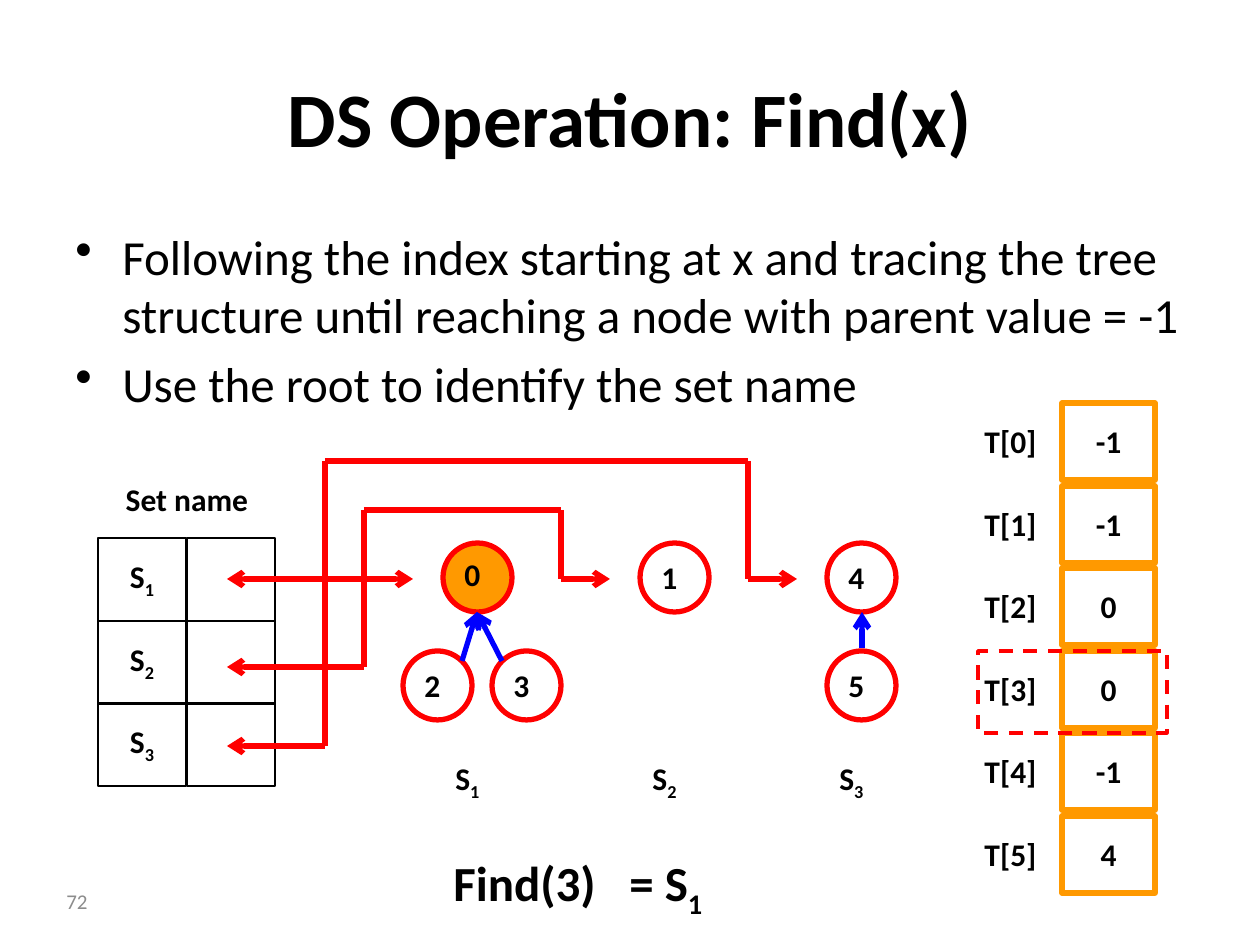
"""Build the slide on the disjoint-set Find operation."""
from dataclasses import dataclass
from itertools import pairwise

import lxml.etree
import pptx
import pptx.dml.color
import pptx.enum.dml
import pptx.enum.shapes
import pptx.enum.text
import pptx.oxml.ns
import pptx.util

EMU_PER_PX = 914400 / 126
COLORS = {"text": "000000", "page": "8C8C8C", "orange": "FF9900", "red": "FF0000", "blue": "0000FF"}
Align = pptx.enum.text.PP_ALIGN
Anchor = pptx.enum.text.MSO_ANCHOR
Preset = pptx.enum.shapes.MSO_SHAPE


@dataclass(frozen=True)
class Box:
    left: int
    top: int
    width: int
    height: int


@dataclass(frozen=True)
class Style:
    size: int = 18
    bold: bool = True
    color: str = "text"
    align: Align = Align.CENTER
    anchor: Anchor = Anchor.TOP
    inset: int = 19
    wrap: bool = True
    grow: bool = True


@dataclass(frozen=True)
class Node:
    name: str
    left: int
    top: int
    label_lift: int = 4
    fill: str | None = None


@dataclass(frozen=True)
class Route:
    points: tuple[tuple[int, int], ...]
    color: str = "red"
    two_way: bool = True


LABEL = Style()
NODE_LABEL = Style(align=Align.LEFT)
RESULT = Style(size=28, align=Align.LEFT, inset=6, wrap=False)
TITLE = Style(size=44, anchor=Anchor.MIDDLE, inset=6, grow=False)
BODY = Style(size=28, bold=False, align=Align.LEFT, inset=6, grow=False)
PAGE = Style(size=12, bold=False, color="page", align=Align.RIGHT, anchor=Anchor.MIDDLE, inset=6, grow=False)

ROW_STEP = 82.6
DIAMETER = 69
PARENTS = (-1, -1, 0, 0, -1, 4)
BULLETS = (
    "Following the index starting at x and tracing the tree structure until reaching a node with parent value = -1",
    "Use the root to identify the set name",
)
SET_LEFTS = (443, 640, 827)
NODES = (
    Node("0", 443, 543, 7, "orange"),
    Node("2", 403, 651),
    Node("3", 492, 651),
    Node("1", 640, 543),
    Node("4", 827, 543),
    Node("5", 827, 651),
)
ROUTES = (
    Route(((227, 667), (364, 667), (364, 510), (561, 510), (561, 579), (610, 579))),
    Route(((227, 746), (325, 746), (325, 461), (748, 461), (748, 579), (797, 579))),
    Route(((227, 579), (413, 579))),
    Route(((502, 661), (477, 612)), "blue", False),
    Route(((462, 661), (477, 612)), "blue", False),
    Route(((862, 648), (862, 612)), "blue", False),
)


def px(length: float) -> pptx.util.Emu:
    return pptx.util.Emu(round(length * EMU_PER_PX))


def place(box: Box) -> tuple[pptx.util.Emu, ...]:
    return px(box.left), px(box.top), px(box.width), px(box.height)


def rgb(name: str) -> pptx.dml.color.RGBColor:
    return pptx.dml.color.RGBColor.from_string(COLORS[name])


def write(shape, paragraphs: tuple[str, ...], style: Style, subscript: str = "") -> None:
    frame = shape.text_frame
    frame.word_wrap = style.wrap
    frame.vertical_anchor = style.anchor
    frame.margin_left = frame.margin_right = px(12.6)
    frame.margin_top = frame.margin_bottom = px(style.inset)
    fit = pptx.enum.text.MSO_AUTO_SIZE
    frame.auto_size = fit.SHAPE_TO_FIT_TEXT if style.grow else fit.NONE
    frame.text = "\n".join(paragraphs)
    for paragraph in frame.paragraphs:
        paragraph.alignment = style.align
        font = paragraph.font
        font.name, font.size, font.bold = "Calibri", pptx.util.Pt(style.size), style.bold
        font.color.rgb = rgb(style.color)
    if subscript:
        lowered = frame.paragraphs[-1].add_run()
        lowered.text = subscript
        lowered.font._element.set("baseline", "-25000")


def add_text(slide, box: Box, text: str, style: Style = LABEL, subscript: str = "") -> None:
    write(slide.shapes.add_textbox(*place(box)), (text,), style, subscript)


def add_outline(slide, box: Box, color: str, weight: float = 3, preset=Preset.RECTANGLE, fill: str | None = None):
    shape = slide.shapes.add_shape(preset, *place(box))
    shape.shadow.inherit = False
    if fill:
        shape.fill.solid()
        shape.fill.fore_color.rgb = rgb(fill)
    else:
        shape.fill.background()
    shape.line.color.rgb = rgb(color)
    shape.line.width = pptx.util.Pt(weight)
    return shape


def add_bullets(slide, box: Box, items: tuple[str, ...]) -> None:
    body = slide.shapes.add_textbox(*place(box))
    write(body, items, BODY)
    for paragraph in body.text_frame.paragraphs:
        paragraph.space_before = pptx.util.Pt(5.6)
        bullet = lxml.etree.Element(pptx.oxml.ns.qn("a:buChar"), char="•")
        defaults = paragraph.font._element
        defaults.addprevious(bullet)
        properties = defaults.getparent()
        properties.set("marL", str(px(47)))
        properties.set("indent", str(-px(47)))


def add_route(slide, route: Route) -> None:
    last = len(route.points) - 2
    for index, (start, end) in enumerate(pairwise(route.points)):
        segment = slide.shapes.add_connector(
            pptx.enum.shapes.MSO_CONNECTOR.STRAIGHT, *map(px, start + end))
        segment.line.color.rgb = rgb(route.color)
        segment.line.width = pptx.util.Pt(3)
        properties = segment._element.spPr
        line = properties.find(pptx.oxml.ns.qn("a:ln"))
        if index == 0 and route.two_way:
            lxml.etree.SubElement(line, pptx.oxml.ns.qn("a:headEnd"), type="arrow")
        if index == last:
            lxml.etree.SubElement(line, pptx.oxml.ns.qn("a:tailEnd"), type="arrow")
        lxml.etree.SubElement(properties, pptx.oxml.ns.qn("a:effectLst"))


def add_node(slide, node: Node) -> None:
    add_outline(slide, Box(node.left, node.top, DIAMETER, DIAMETER), "red", preset=Preset.OVAL, fill=node.fill)
    add_text(slide, Box(node.left + 9, node.top - node.label_lift, 49, 77), node.name, NODE_LABEL)


def main() -> None:
    deck = pptx.Presentation()
    deck.slide_width, deck.slide_height = px(1260), px(945)
    slide = deck.slides.add_slide(deck.slide_layouts[6])
    add_text(slide, Box(63, 38, 1134, 158), "DS Operation: Find(x)", TITLE)
    add_bullets(slide, Box(63, 220, 1134, 624), BULLETS)
    for index, parent in enumerate(PARENTS):
        top = round(403 + index * ROW_STEP)
        add_text(slide, Box(958, top, 105, 77), f"T[{index}]")
        write(add_outline(slide, Box(1062, top, 93, 77), "orange"), (str(parent),), LABEL)
    add_text(slide, Box(98, 461, 178, 77), "Set name")
    for index, left in enumerate(SET_LEFTS):
        top, number = round(538 + index * ROW_STEP), str(index + 1)
        write(add_outline(slide, Box(98, top, 88, 83), "text", 0.75), ("S",), LABEL, number)
        add_outline(slide, Box(187, top, 88, 83), "text", 0.75)
        add_text(slide, Box(left, 740, 78, 83), "S", NODE_LABEL, number)
    for node in NODES:
        add_node(slide, node)
    for route in ROUTES:
        add_route(slide, route)
    add_text(slide, Box(441, 847, 180, 72), "Find(3)", RESULT)
    traced_cell = add_outline(slide, Box(978, 651, 189, 82), "red", 2)
    traced_cell.line.dash_style = pptx.enum.dml.MSO_LINE.DASH
    add_text(slide, Box(617, 847, 102, 72), "= S", RESULT, "1")
    add_text(slide, Box(-194, 876, 294, 50), "72", PAGE)
    deck.save("out.pptx")


if __name__ == "__main__":
    main()
